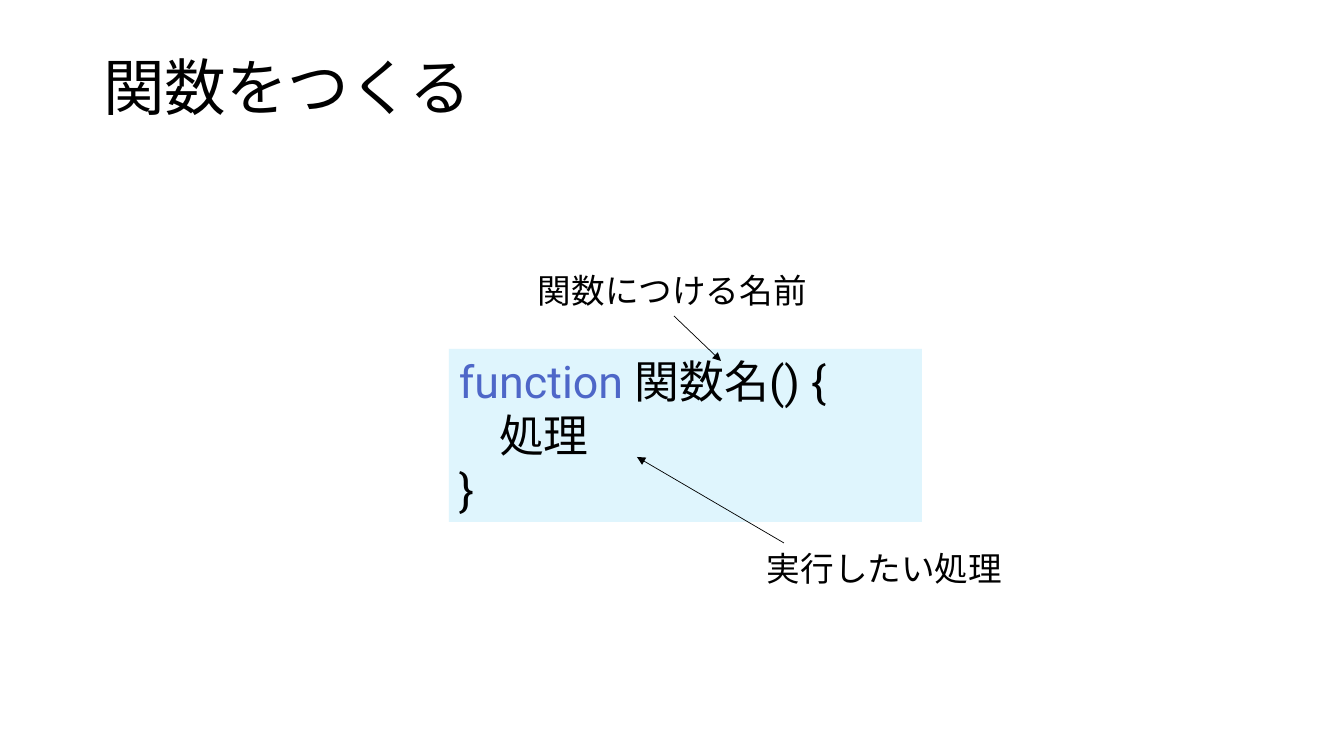
from lxml.etree import SubElement
from pptx import Presentation
from pptx.dml.color import RGBColor
from pptx.enum.lang import MSO_LANGUAGE_ID as Language
from pptx.enum.shapes import MSO_CONNECTOR as Connector
from pptx.enum.text import MSO_ANCHOR as Anchor, MSO_AUTO_SIZE as AutoSize, PP_ALIGN as Align
from pptx.oxml.ns import qn
from pptx.util import Emu, Pt

SCALE = 12192000 / 1344  # EMU in one px
FONT = "Roboto"
COLORS = {"text": "000000", "keyword": "4E67C8", "code": "DFF5FD"}


def px(length):
    return Emu(round(length * SCALE))


def color(name):
    return RGBColor.from_string(COLORS[name])


def write(frame, lines, size, wrap=True, anchor=Anchor.TOP, spacing=None, auto_size=AutoSize.NONE):
    """Fill a frame with lines, each a list of (text, color name) spans."""
    frame.word_wrap = wrap
    frame.auto_size = auto_size
    frame.vertical_anchor = anchor
    for index, spans in enumerate(lines):
        para = frame.add_paragraph() if index else frame.paragraphs[0]
        para.alignment = Align.LEFT
        if spacing:
            para.line_spacing = spacing
        for text, color_name in spans:
            span = para.add_run()
            span.text = text
            span.font.name = FONT
            span.font.size = Pt(size)
            span.font.color.rgb = color(color_name)
            span.font.language_id = Language.JAPANESE


def add_title(page, box, text):
    title = page.shapes.title
    title.left, title.top, title.width, title.height = map(px, box)
    write(title.text_frame, [[(text, "text")]], 44, anchor=Anchor.MIDDLE, spacing=0.9)


def add_label(page, box, text):
    label = page.shapes.add_textbox(*map(px, box))
    write(label.text_frame, [[(text, "text")]], 24, wrap=False, auto_size=AutoSize.SHAPE_TO_FIT_TEXT)


def add_arrow(page, start, end):
    arrow = page.shapes.add_connector(Connector.STRAIGHT, *map(px, start + end))
    arrow.line.color.rgb = color("text")
    arrow.line.width = Pt(0.5)
    SubElement(arrow.line._get_or_add_ln(), qn("a:tailEnd"), type="triangle")
    SubElement(arrow._element.spPr, qn("a:effectLst"))


def add_function_diagram(page, box):
    left, top, width, height = box

    # Code panel
    panel = page.shapes.add_textbox(*map(px, box))
    panel.fill.solid()
    panel.fill.fore_color.rgb = color("code")
    code = [
        [("function ", "keyword"), ("関数名() {", "text")],
        [("    処理", "text")],
        [("}", "text")],
    ]
    write(panel.text_frame, code, 32)

    # Labels above and below the panel
    add_label(page, (left + 79, top - 84, 291, 50), "関数につける名前")
    add_label(page, (left + 308, top + height + 21, 258, 50), "実行したい処理")

    # Arrows from the labels to the code
    add_arrow(page, (left + 225, top - 33), (left + 272, top + 12))
    add_arrow(page, (left + 335, top + height + 21), (left + 188, top + 108))


def main():
    deck = Presentation()
    deck.slide_width, deck.slide_height = px(1344), px(756)
    page = deck.slides.add_slide(deck.slide_layouts.get_by_name("Title Only"))
    add_title(page, (93, 40, 1159, 101), "関数をつくる")
    add_function_diagram(page, (449, 349, 473, 173))
    deck.save("out.pptx")


if __name__ == "__main__":
    main()
